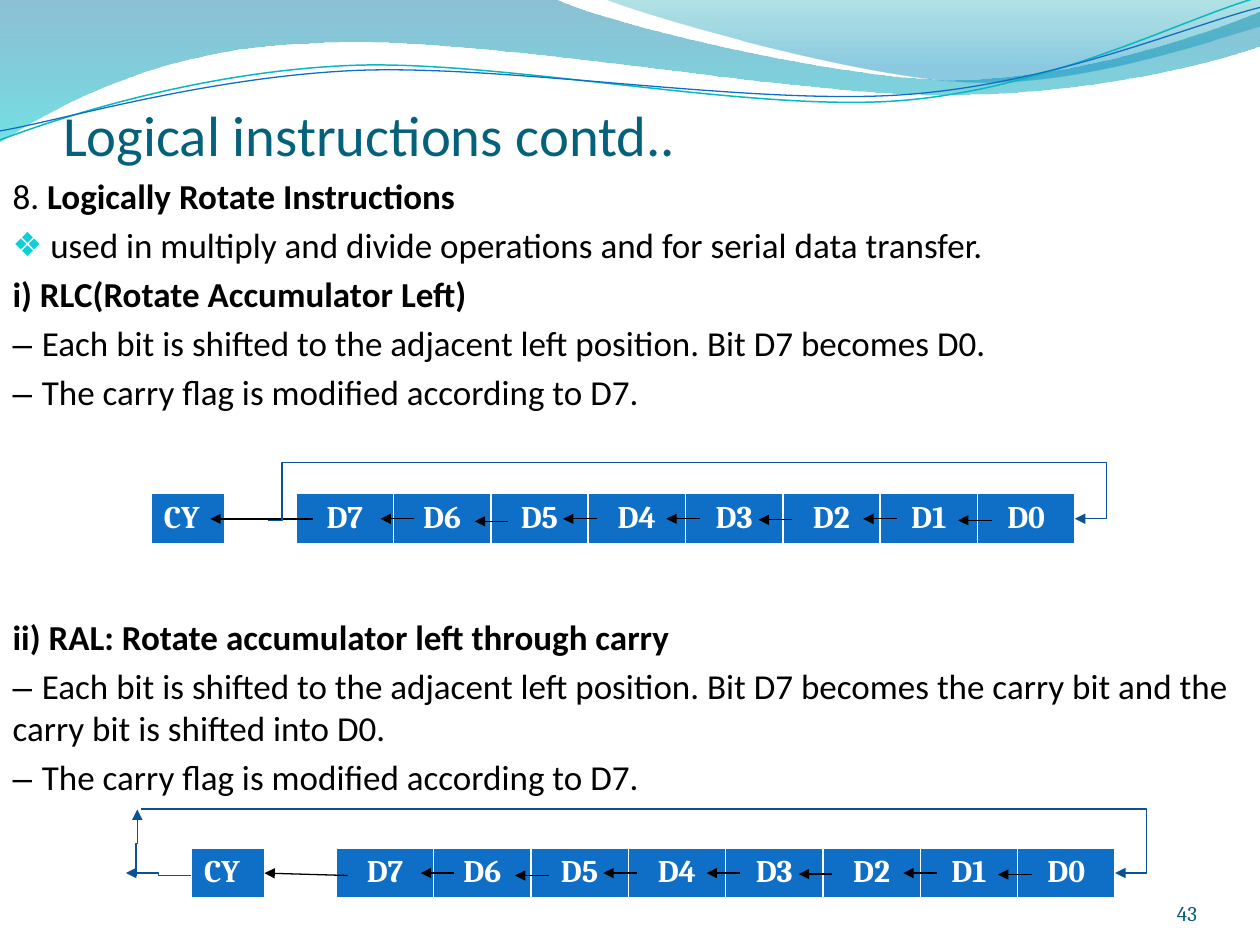
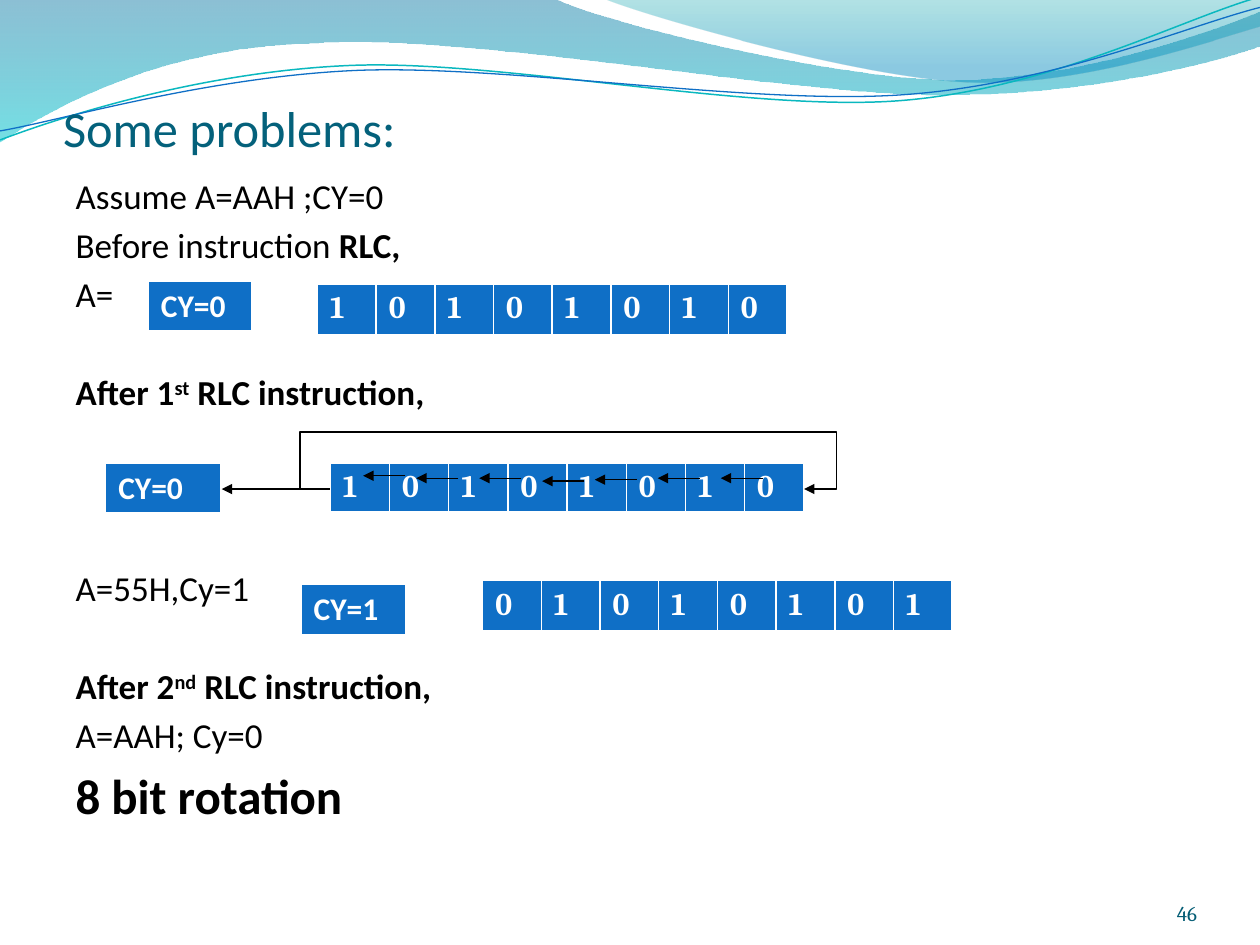
import math
import pptx
import pptx.dml.color
import pptx.enum.shapes
import pptx.enum.text
import pptx.oxml
import pptx.oxml.ns
import pptx.util
from dataclasses import dataclass
from lxml import etree

Cm, Pt, qn = pptx.util.Cm, pptx.util.Pt, pptx.oxml.ns.qn
ALIGN = pptx.enum.text.PP_ALIGN
CONNECTOR = pptx.enum.shapes.MSO_CONNECTOR

COLORS = {
    "title": "04617B", "text": "000000", "number": "045D75", "bullet": "0BD0D9",
    "cell": "0F6FC6", "white": "FFFFFF", "loop": "095295", "teal": "0AB8BF",
    "band_top": "0074A1", "band_end": "00C6CF", "veil_top": "00A1A9", "veil_end": "008BBF",
}

# Wave outlines in cm: a step of 2 numbers is a line, of 6 a cubic curve.
BAND = [(0, 0), (11.18, -0.03), (12.09, 0.43, 16.87, 1.6, 19.25, 1.6),
        (21.67, 1.6, 24.33, 0.66, 25.4, 0.23), (25.43, 0.91),
        (24.97, 1.12, 22.1, 1.93, 18.95, 1.91), (15.8, 1.91, 9.7, 0.71, 6.53, 0.86),
        (3.28, 0.91, 1.17, 2.11, -0.03, 2.87), (0, 0)]
VEIL = [(12.17, -0.03), (12.93, 0.3, 17.32, 1.57, 19.53, 1.65),
        (21.74, 1.75, 24.41, 0.81, 25.4, 0.53), (25.4, 0), (12.17, -0.03)]
UPPER_WAVE = [(0, 2.82), (1.22, 2.36, 4.01, 1.45, 7.04, 1.32),
              (10.03, 1.19, 15.06, 2.26, 18.11, 2.03), (21.16, 1.8, 23.83, 0.38, 25.35, -0.05)]
LOWER_WAVE = [(0, 2.64), (1.19, 2.44, 4.17, 1.55, 7.19, 1.42),
              (10.24, 1.3, 15.16, 2.13, 18.21, 1.91), (21.23, 1.7, 23.9, 0.53, 25.4, 0.15)]
TILT = -2.7


@dataclass
class Line:
    """One body paragraph; gap counts the free lines above it."""
    spans: list
    gap: int = 0
    bold: bool = False
    size: int = 20
    bullet: bool = False


def rgb(name):
    """Look up a colour by its role."""
    return pptx.dml.color.RGBColor.from_string(COLORS[name])


def child(parent, tag, **attributes):
    """Append a DrawingML element."""
    return etree.SubElement(parent, qn(tag), attributes)


def level(steps, center):
    """Turn the steps of a tilted wave back to level."""
    angle = math.radians(-TILT)
    cos, sin = math.cos(angle), math.sin(angle)
    result = []
    for step in steps:
        turned = []
        for x, y in zip(step[::2], step[1::2]):
            across, down = x - center[0], y - center[1]
            turned += [center[0] + across * cos - down * sin,
                       center[1] + across * sin + down * cos]
        result.append(tuple(turned))
    return result


class Lecture:
    """Holds the shared style and the current slide."""

    def __init__(self):
        """Open a deck of 4:3 pages."""
        self.deck = pptx.Presentation()
        self.deck.slide_width, self.deck.slide_height = Cm(25.4), Cm(19.05)
        self.page = None

    def add_page(self, title, size, title_height, number):
        """Start a page with its title and page number."""
        self.page = self.deck.slides.add_slide(self.deck.slide_layouts[1])
        box = self.page.shapes.title
        self.place(box, 1.27, 1.96, 22.86, title_height)
        frame = box.text_frame
        frame.text = title
        frame.margin_left = frame.margin_right = frame.margin_bottom = 0
        self.anchor_bottom(frame)
        self.style(frame.paragraphs[0], size, "Calibri", "title", align=ALIGN.LEFT)

        frame = self.page.shapes.add_textbox(Cm(22.02), Cm(17.65), Cm(2.11), Cm(1.02)).text_frame
        frame.text = number
        frame.margin_left = frame.margin_right = frame.margin_top = frame.margin_bottom = 0
        self.anchor_bottom(frame)
        self.style(frame.paragraphs[0], 12, "Cambria", "number", align=ALIGN.RIGHT)

    def place(self, box, left, top, width, height):
        """Move and size a box."""
        box.left, box.top, box.width, box.height = Cm(left), Cm(top), Cm(width), Cm(height)

    def anchor_bottom(self, frame):
        """Wrap text, keep its size and set it at the bottom."""
        frame.word_wrap = True
        frame.auto_size = pptx.enum.text.MSO_AUTO_SIZE.NONE
        frame.vertical_anchor = pptx.enum.text.MSO_ANCHOR.BOTTOM

    def style(self, para, size, font, color, bold=False, align=None):
        """Set the font and alignment of a paragraph."""
        para.font.size, para.font.name, para.font.bold = Pt(size), font, bold
        para.font.color.rgb = rgb(color)
        para.alignment = align

    def add_body(self, lines, left, width, height):
        """Fill the body placeholder with lines."""
        box = self.page.placeholders[1]
        self.place(box, left, 3.39, width, height)
        frame = box.text_frame
        frame.auto_size = pptx.enum.text.MSO_AUTO_SIZE.NONE
        for index, line in enumerate(lines):
            para = frame.add_paragraph() if index else frame.paragraphs[0]
            self.style(para, line.size, "Calibri", "text", line.bold)
            if line.gap:
                para.space_before = Pt(4 + 28 * line.gap)
            self.add_bullet(para, line.bullet)
            for text, look in line.spans:
                span = para.add_run()
                span.text = text
                if look == "bold":
                    span.font.bold = True
                elif look == "dash":
                    span.font.name = "Arial"
                elif look == "raised":
                    span._r.get_or_add_rPr().set("baseline", "30000")

    def add_bullet(self, para, shown):
        """Give a paragraph a diamond bullet, or none."""
        props = para._p.get_or_add_pPr()
        indent = Cm(0.76) if shown else 0
        props.set("marL", str(indent))
        props.set("indent", str(-indent))
        marks = [etree.Element(qn("a:buNone"))]
        if shown:
            color = etree.Element(qn("a:buClr"))
            child(color, "a:srgbClr", val=COLORS["bullet"])
            marks = [color, etree.Element(qn("a:buSzPct"), val="95000"),
                     etree.Element(qn("a:buChar"), char="❖")]
        defaults = props.find(qn("a:defRPr"))
        for mark in marks:
            defaults.addprevious(mark)

    def add_cells(self, labels, left, top, width, font="Cambria", align=None, height=1.04):
        """Draw a one-row table of equal cells."""
        table = self.page.shapes.add_table(1, len(labels), Cm(left), Cm(top),
                                           Cm(width), Cm(height)).table
        for cell, label in zip(table.rows[0].cells, labels):
            cell.text = label
            self.style(cell.text_frame.paragraphs[0], 18, font, "white", True, align)
            props = cell._tc.get_or_add_tcPr()
            for side, points in (("L", 1), ("R", 1), ("T", 1), ("B", 3)):
                border = child(props, "a:ln" + side, w=str(Pt(points)))
                child(child(border, "a:solidFill"), "a:srgbClr", val=COLORS["white"])
            cell.fill.solid()
            cell.fill.fore_color.rgb = rgb("cell")

    def add_arrow(self, start, end, color="text", bends=(), turn=0):
        """Draw an arrow; bends are the x, y, x of its corners, before any turn."""
        kind = CONNECTOR.ELBOW if bends else CONNECTOR.STRAIGHT
        arrow = self.page.shapes.add_connector(kind, *map(Cm, start), *map(Cm, end))
        arrow.line.color.rgb = rgb(color)
        arrow.line.width = Pt(0.75)
        props = arrow.element.spPr
        child(props.find(qn("a:ln")), "a:tailEnd", type="triangle")
        child(props, "a:effectLst")
        if turn:
            props.find(qn("a:xfrm")).set("rot", str(turn * 60000))
        if bends:
            shape = props.find(qn("a:prstGeom"))
            shape.set("prst", f"bentConnector{len(bends) + 2}")
            guides = shape.find(qn("a:avLst"))
            for index, bend in enumerate(bends):
                axis = index % 2
                share = (bend - start[axis]) / (end[axis] - start[axis])
                child(guides, "a:gd", name=f"adj{index + 1}" if len(bends) > 1 else "adj1",
                      fmla=f"val {round(share * 100000)}")

    def add_shifts(self, left, top, tips, length):
        """Draw the short arrows that move each bit to the left."""
        for x, y in tips:
            self.add_arrow((left + x + length, top + y), (left + x, top + y))

    def add_outline(self, steps, closed):
        """Draw a wave through the step ends, then bend its curves."""
        ends = [(Cm(step[-2]), Cm(step[-1])) for step in steps]
        builder = self.page.shapes.build_freeform(*ends[0], scale=1.0)
        builder.add_line_segments(ends[1:], close=closed)
        wave = builder.convert_to_shape()
        wave.shadow.inherit = False
        segments = list(wave.element.spPr.iter(qn("a:lnTo")))
        for segment, step in zip(segments, steps[1:]):
            if len(step) == 6:
                curve = etree.Element(qn("a:cubicBezTo"))
                for x, y in zip(step[::2], step[1::2]):
                    child(curve, "a:pt", x=str(Cm(x) - wave.left), y=str(Cm(y) - wave.top))
                segment.getparent().replace(segment, curve)
        return wave

    def add_waves(self):
        """Draw the top waves and move them to the master."""
        waves = []
        for steps, stops in ((BAND, (("band_top", 0, 45), ("band_end", 1, 55))),
                             (VEIL, (("veil_top", 0, 30), ("veil_end", 0.8, 45)))):
            wave = self.add_outline(steps, True)
            wave.line.fill.background()
            wave.fill.gradient()
            wave.fill.gradient_angle = 270
            for stop, (color, position, _) in zip(wave.fill.gradient_stops, stops):
                stop.color.rgb, stop.position = rgb(color), position
            tints = wave.element.spPr.iter(qn("a:srgbClr"))
            for tint, (_, _, opacity) in zip(list(tints), stops):
                child(tint, "a:alpha", val=str(opacity * 1000))
            waves.append(wave)
        for steps, center, color, width in ((UPPER_WAVE, (12.67, 1.46), "teal", 0.85),
                                            (LOWER_WAVE, (12.69, 1.5), "cell", 0.75)):
            wave = self.add_outline(level(steps, center), False)
            wave.rotation = TILT
            wave.fill.background()
            wave.line.color.rgb = rgb(color)
            wave.line.width = Pt(width)
            waves.append(wave)
        tree = self.deck.slide_master.shapes.element
        for index, wave in enumerate(waves):
            tree.insert(2 + index, wave.element)


def plain(text, **options):
    """A line in one look."""
    return Line([(text, "")], **options)


def dashed(text):
    """A line led by a dash."""
    return Line([("– ", "dash"), (text, "")])


def after(count, ending, gap):
    """A bold heading with a raised ordinal ending."""
    return Line([(f"After {count}", ""), (ending, "raised"), (" RLC instruction,", "")],
                gap=gap, bold=True)


lecture = Lecture()

# Rotate instructions
lecture.add_page("Logical instructions contd..", 32.4, 1.42, "43")
lecture.add_waves()
carry_rule = "The carry flag is modified according to D7."
shift_rule = "Each bit is shifted to the adjacent left position. Bit D7 becomes "
lecture.add_body([
    Line([("8. ", ""), ("Logically Rotate Instructions", "bold")]),
    plain("used in multiply and divide operations and for serial data transfer.", bullet=True),
    plain("i) RLC(Rotate Accumulator Left)", bold=True),
    dashed(shift_rule + "D0."),
    dashed(carry_rule),
    plain("ii) RAL: Rotate accumulator left through carry", bold=True, gap=4),
    dashed(shift_rule + "the carry bit and the carry bit is shifted into D0."),
    dashed(carry_rule),
], 0, 25.4, 16.31)

bit_names = [f"D{bit}" for bit in range(7, -1, -1)]
name_tips = [(1.7, 0.51), (3.6, 0.56), (5.38, 0.51), (7.46, 0.51),
             (9.32, 0.53), (11.43, 0.51), (13.34, 0.54)]
for left, top in ((5.97, 9.95), (6.78, 17.09)):
    lecture.add_cells(bit_names, left, top, 15.7, align=ALIGN.CENTER)
    lecture.add_cells(["CY"], left - 2.92, top, 1.48)
    lecture.add_shifts(left, top, name_tips, 0.68)
lecture.add_arrow((6.3, 10.46), (4.24, 10.46))
lecture.add_arrow((5.41, 10.49), (21.67, 10.46), "loop", (5.69, 9.32, 22.3))
lecture.add_arrow((7.01, 17.65), (5.33, 17.6))
lecture.add_arrow((3.86, 17.65), (2.54, 17.6), "loop", (3.2,))
lecture.add_arrow((3.43, 17.01), (2.08, 16.98), "loop", (2.76,), turn=90)
lecture.add_arrow((2.84, 16.31), (22.48, 17.6), "loop", (23.11,))

# Worked problem
lecture.add_page("Some problems:", 28.8, 1.22, "46")
lecture.add_body([
    plain("Assume A=AAH ;CY=0"),
    Line([("Before instruction ", ""), ("RLC,", "bold")]),
    plain("A="),
    after(1, "st", 1),
    plain("A=55H,Cy=1", gap=3),
    after(2, "nd", 1),
    plain("A=AAH; Cy=0"),
    plain("8 bit rotation", bold=True, size=28),
], 1.27, 22.86, 14.17)

lecture.add_cells("10101010", 6.4, 5.73, 9.47)
lecture.add_cells("10101010", 6.66, 9.34, 9.55, height=1)
lecture.add_cells("01010101", 9.73, 11.7, 9.47)
for carry, left, top, width in (("CY=0", 2.99, 5.66, 2.08), ("CY=0", 2.13, 9.33, 2.33),
                                ("CY=1", 6.07, 11.78, 2.11)):
    lecture.add_cells([carry], left, top, width, font="Calibri")
lecture.add_shifts(6.66, 9.34, [(0.66, 0.25), (1.73, 0.3), (3, 0.3), (4.27, 0.36),
                                (5.33, 0.33), (6.6, 0.3), (7.87, 0.3)], 0.85)
lecture.add_arrow((6.65, 9.86), (4.47, 9.86))
lecture.add_arrow((5.41, 9.87), (16.21, 9.86), bends=(6.05, 8.71, 16.87))

lecture.deck.save("out.pptx")
